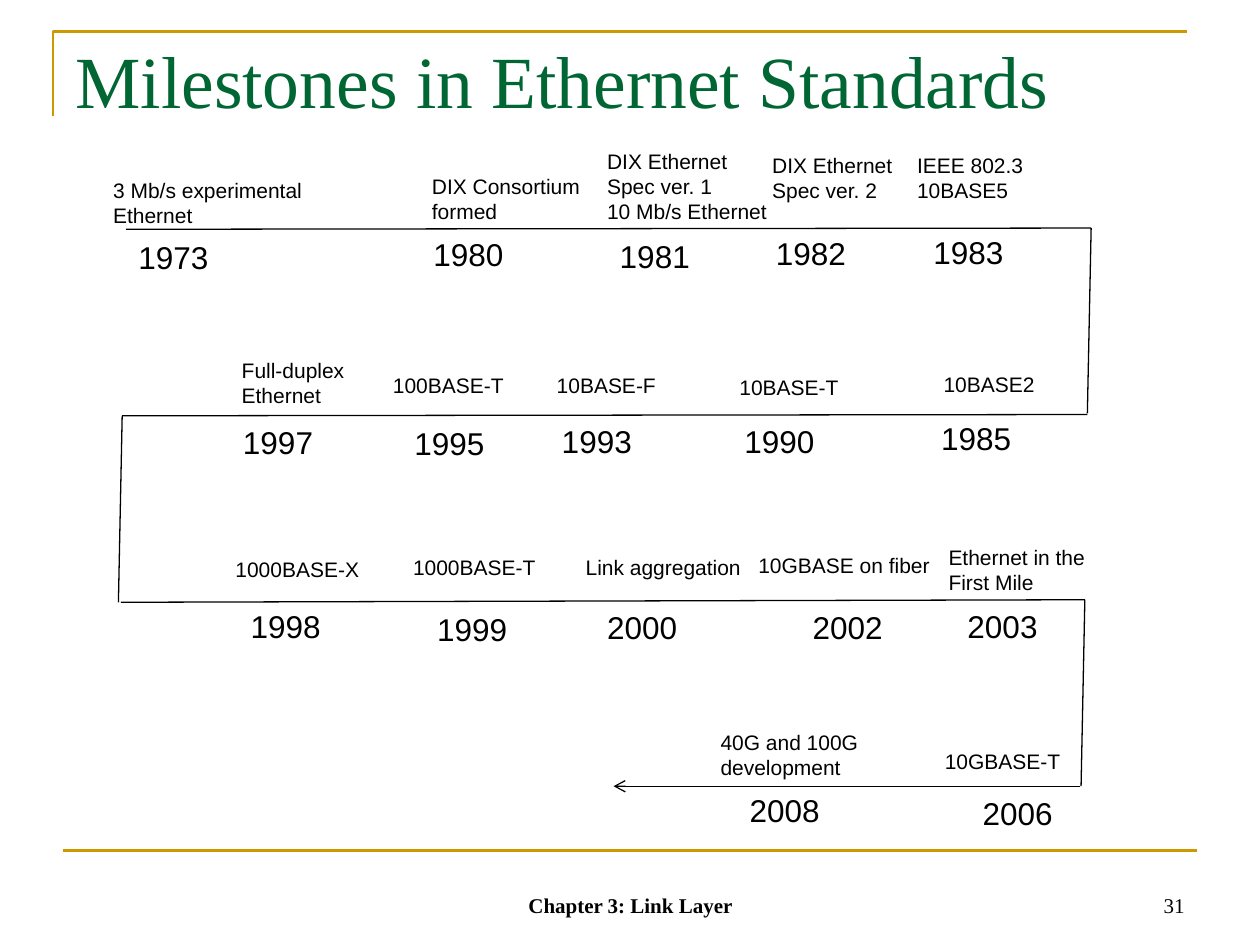
"""Build the slide on milestones in Ethernet standards."""
from lxml.etree import SubElement
from pptx import Presentation
from pptx.dml.color import RGBColor
from pptx.enum.shapes import MSO_CONNECTOR as CONNECTOR
from pptx.enum.text import MSO_ANCHOR as ANCHOR, PP_ALIGN as ALIGN
from pptx.oxml.ns import qn
from pptx.util import Pt

PX = 9144
COLORS = {"title": "006633", "rule": "CC9900", "ink": "000000"}
SERIF, SANS = "Times New Roman", "Arial"


def add_text(text, left, top, width, height, size, font=SANS, color="ink",
             align=ALIGN.LEFT, anchor=ANCHOR.TOP, margin_right=10, bold=False):
    shape = slide.shapes.add_textbox(left * PX, top * PX, width * PX, height * PX)
    text_frame = shape.text_frame
    text_frame.text = text
    text_frame.word_wrap = True
    text_frame.margin_right = margin_right * PX
    text_frame.vertical_anchor = anchor
    for paragraph in text_frame.paragraphs:
        paragraph.alignment = align
        for run in paragraph.runs:
            run.font.size = Pt(size)
            run.font.name = font
            run.font.bold = bold
            run.font.color.rgb = RGBColor.from_string(COLORS[color])


def add_line(x1, y1, x2, y2, color="ink", width=0.75):
    line = slide.shapes.add_connector(CONNECTOR.STRAIGHT, x1 * PX, y1 * PX, x2 * PX, y2 * PX)
    line.line.color.rgb = RGBColor.from_string(COLORS[color])
    line.line.width = Pt(width)
    SubElement(line._element.spPr, qn("a:effectLst"))
    return line


presentation = Presentation()
presentation.slide_width = 1000 * PX
presentation.slide_height = 750 * PX
slide = presentation.slides.add_slide(presentation.slide_layouts[6])

builder = slide.shapes.build_freeform(42, 92, scale=PX)
builder.add_line_segments([(42, 25), (942, 25)], close=False)
corner = builder.convert_to_shape()
corner.shadow.inherit = False
corner.fill.background()
corner.line.color.rgb = RGBColor.from_string(COLORS["rule"])
corner.line.width = Pt(1.5)
add_line(50, 675, 950, 675, "rule", 1.5)

add_text("Milestones in Ethernet Standards", 50, 23, 900, 125, 42, SERIF, "title")

timeline = [
    (100, 182, 866, 181),
    (866, 181, 863, 328),
    (97, 330, 863, 329),
    (97, 330, 94, 478),
    (96, 478, 861, 476),
    (861, 476, 858, 624),
]
for ends in timeline:
    add_line(*ends)
arrow = add_line(487, 624, 857, 624)
SubElement(arrow.line._get_or_add_ln(), qn("a:headEnd"), type="arrow")

milestones = [
    ("1973", 100, 184, "3 Mb/s experimental\nEthernet", 80, 136, 174),
    ("1980", 334, 182, "DIX Consortium\nformed", 333, 133, 137),
    ("1981", 482, 183, "DIX Ethernet\nSpec ver. 1\n10 Mb/s Ethernet", 472, 113, 147),
    ("1982", 606, 181, "DIX Ethernet\nSpec ver. 2", 603, 116, 115),
    ("1983", 731, 180, "IEEE 802.3\n10BASE5", 718, 116, 104),
    ("1985", 737, 328, "10BASE2", 739, 290, 92),
    ("1990", 581, 330, "10BASE-T", 577, 292, 99),
    ("1993", 436, 330, "10BASE-F", 432, 291, 99),
    ("1995", 319, 332, "100BASE-T", 302, 291, 108),
    ("1997", 183, 331, "Full-duplex\nEthernet", 182, 279, 101),
    ("1998", 189, 477, "1000BASE-X", 177, 437, 118),
    ("1999", 337, 479, "1000BASE-T", 318, 435, 117),
    ("2000", 472, 478, "Link aggregation", 455, 435, 143),
    ("2002", 635, 478, "10GBASE on fiber", 592, 434, 156),
    ("2003", 758, 477, "Ethernet in the\nFirst Mile", 743, 427, 133),
    ("2006", 770, 625, "10GBASE-T", 740, 589, 111),
    ("2008", 585, 623, "40G and 100G\ndevelopment", 562, 574, 129),
]
for year, year_left, year_top, label, left, top, width in milestones:
    add_text(year, year_left, year_top, 75, 40, 18, margin_right=0)
    height = 10 + 20 * len(label.splitlines())
    add_text(label, left, top, width, height, 12, margin_right=0)

add_text("Chapter 3: Link Layer", 342, 683, 317, 50, 12, SERIF,
         align=ALIGN.CENTER, anchor=ANCHOR.BOTTOM, bold=True)
add_text("31", 717, 683, 233, 50, 12, SERIF, align=ALIGN.RIGHT, anchor=ANCHOR.BOTTOM)

presentation.save("out.pptx")
